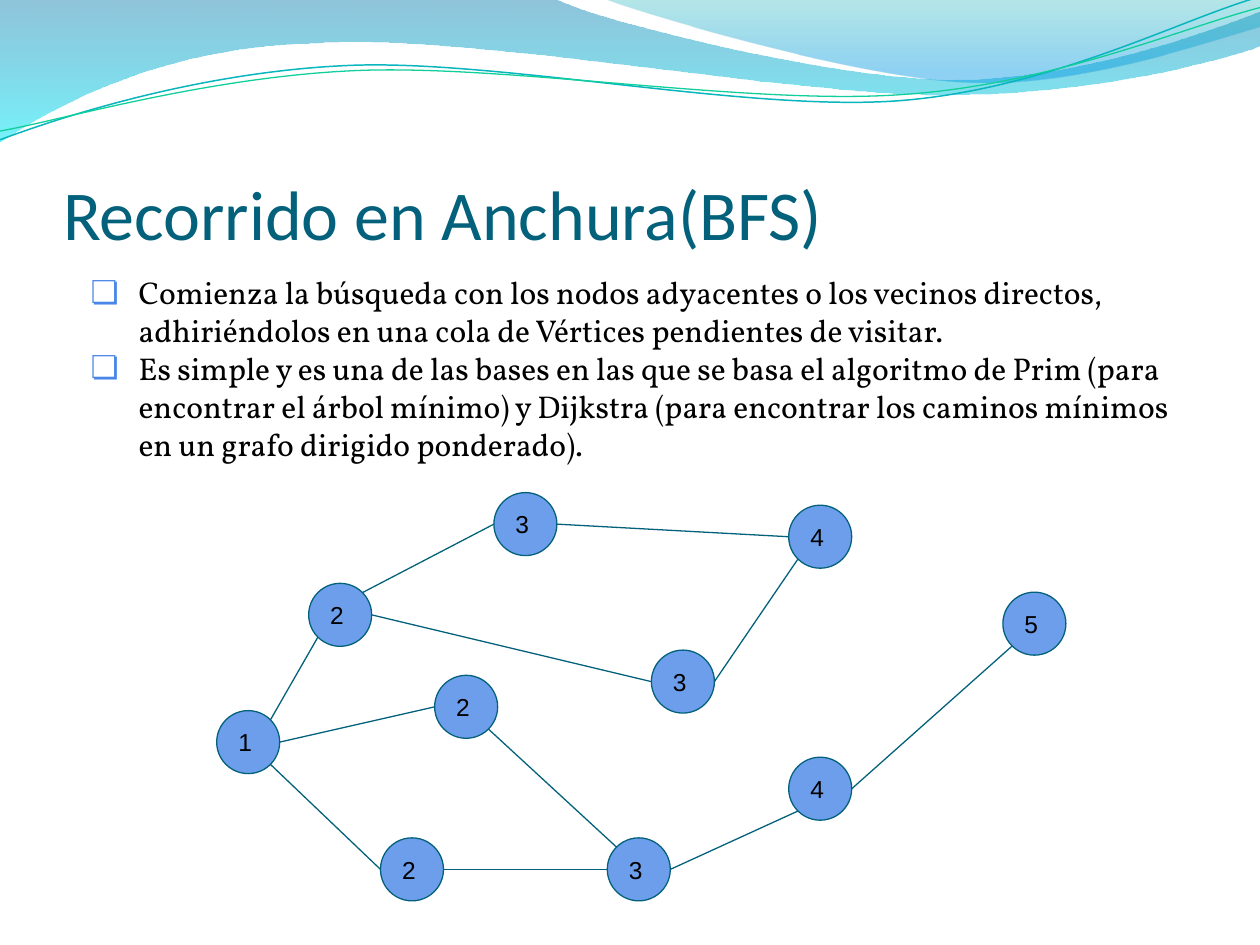
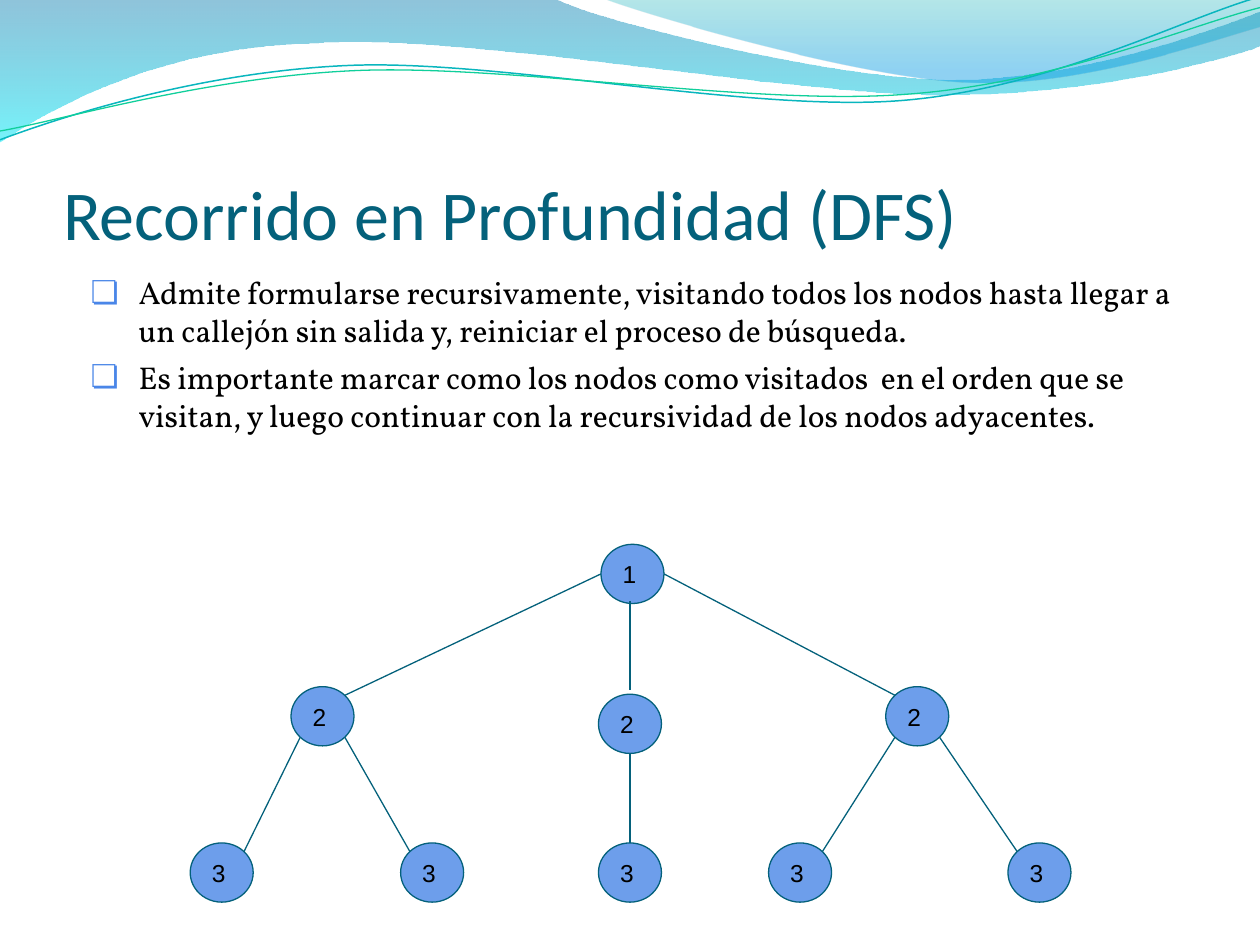
from math import cos, radians, sin
from typing import NamedTuple

from lxml import etree
from pptx import Presentation
from pptx.dml.color import RGBColor
from pptx.enum.shapes import MSO_CONNECTOR, MSO_SHAPE
from pptx.enum.text import MSO_ANCHOR, MSO_AUTO_SIZE, PP_ALIGN
from pptx.oxml.ns import qn
from pptx.util import Inches, Pt

ELLIPSE = MSO_SHAPE.OVAL
STRAIGHT = MSO_CONNECTOR.STRAIGHT
LEFT = PP_ALIGN.LEFT
TOP, MIDDLE, BOTTOM = MSO_ANCHOR.TOP, MSO_ANCHOR.MIDDLE, MSO_ANCHOR.BOTTOM
NO_AUTOFIT = MSO_AUTO_SIZE.NONE

TITLE_FONT, BODY_FONT, NODE_FONT = "Calibri", "Vollkorn", "Arial"
DARK, BLACK, NODE_FILL, BULLET = "04617B", "000000", "6D9EEB", "4A86E8"
NODE_WIDTH = 0.5
DIAGONAL = 0.5 ** 0.5

# Connection sites of an ellipse: index and direction from its centre
SITES = {
    "N": (0, 0, -1), "NW": (1, -DIAGONAL, -DIAGONAL),
    "W": (2, -1, 0), "SW": (3, -DIAGONAL, DIAGONAL),
    "S": (4, 0, 1), "SE": (5, DIAGONAL, DIAGONAL),
    "E": (6, 1, 0), "NE": (7, DIAGONAL, -DIAGONAL),
}


class Stop(NamedTuple):
    position: int
    color: str
    opacity: int


class Wave(NamedTuple):
    """Each step holds one point (straight) or three points (cubic curve)."""
    box: tuple
    start: tuple
    steps: list
    stops: tuple = ()
    line: str = ""
    width: float = 0
    rotation: float = 0


class Node(NamedTuple):
    label: str
    left: float
    top: float


class Edge(NamedTuple):
    begin: str
    begin_site: str
    end: str
    end_site: str


class Topic(NamedTuple):
    title: str
    bullets: list
    body_height: float
    bullet_gap: float
    node_height: float
    nodes: dict
    edges: list
    stems: tuple = ()


WAVES = [
    Wave((-0.01, -0.01, 10.02, 1.14), (0, 0), [
        (4.4, -0.01),
        (4.76, 0.17, 6.64, 0.63, 7.58, 0.63),
        (8.53, 0.63, 9.58, 0.26, 10, 0.09),
        (10.01, 0.36),
        (9.83, 0.44, 8.7, 0.76, 7.46, 0.75),
        (6.22, 0.75, 3.82, 0.28, 2.57, 0.34),
        (1.29, 0.36, 0.46, 0.83, -0.01, 1.13),
        (0, 0),
    ], stops=(Stop(0, "0079AD", 44), Stop(100, "00E9F7", 54))),
    Wave((4.79, -0.01, 5.21, 0.7), (4.79, -0.01), [
        (5.09, 0.11, 6.82, 0.62, 7.69, 0.65),
        (8.56, 0.69, 9.61, 0.32, 10, 0.21),
        (10, 0),
        (4.79, -0.01),
    ], stops=(Stop(0, "00ABB4", 29), Stop(80, "0099E4", 44),
              Stop(100, "0099E4", 44))),
    Wave((-0.02, 0.22, 10.02, 0.71), (0, 1.11), [
        (0.48, 0.93, 1.58, 0.57, 2.77, 0.52),
        (3.95, 0.47, 5.93, 0.89, 7.13, 0.8),
        (8.33, 0.71, 9.38, 0.15, 9.98, -0.02),
    ], line="09B6BE", width=0.85, rotation=357.3),
    Wave((-0.02, 0.3, 10.03, 0.58), (0, 1.04), [
        (0.47, 0.96, 1.64, 0.61, 2.83, 0.56),
        (4.03, 0.51, 5.97, 0.84, 7.17, 0.75),
        (8.36, 0.67, 9.41, 0.21, 10, 0.06),
    ], line="10CF9B", width=0.75, rotation=357.3),
]

TOPICS = [
    Topic(
        "Recorrido en Anchura(BFS)",
        ["Comienza la búsqueda con los nodos adyacentes o los vecinos directos, "
         "adhiriéndolos en una cola de Vértices pendientes de visitar.",
         "Es simple y es una de las bases en las que se basa el algoritmo de Prim "
         "(para encontrar el árbol mínimo) y Dijkstra (para encontrar los caminos "
         "mínimos en un grafo dirigido ponderado)."],
        body_height=1.9, bullet_gap=0, node_height=0.5,
        nodes={
            "start": Node("1", 1.72, 5.64),
            "top 2": Node("2", 2.45, 4.63),
            "middle 2": Node("2", 3.45, 5.36),
            "low 2": Node("2", 3.02, 6.65),
            "top 3": Node("3", 3.92, 3.91),
            "middle 3": Node("3", 5.17, 5.16),
            "low 3": Node("3", 4.82, 6.65),
            "top 4": Node("4", 6.26, 4.01),
            "low 4": Node("4", 6.26, 6.01),
            "end": Node("5", 7.96, 4.7),
        },
        edges=[
            Edge("top 2", "SW", "start", "NE"),
            Edge("start", "E", "middle 2", "W"),
            Edge("low 2", "W", "start", "SE"),
            Edge("top 2", "NE", "top 3", "W"),
            Edge("top 2", "E", "middle 3", "W"),
            Edge("middle 2", "SE", "low 3", "NW"),
            Edge("low 2", "E", "low 3", "W"),
            Edge("top 3", "E", "top 4", "W"),
            Edge("top 4", "SW", "middle 3", "E"),
            Edge("low 4", "SW", "low 3", "E"),
            Edge("low 4", "E", "end", "SW"),
        ]),
    Topic(
        "Recorrido en Profundidad (DFS)",
        ["Admite formularse recursivamente, visitando todos los nodos hasta llegar "
         "a un callejón sin salida y, reiniciar el proceso de búsqueda.",
         "Es importante marcar como los nodos como visitados  en el orden que se "
         "visitan, y luego continuar con la recursividad de los nodos adyacentes."],
        body_height=1.54, bullet_gap=5.2, node_height=0.47,
        nodes={
            "root": Node("1", 4.77, 4.32),
            "left": Node("2", 2.31, 5.45),
            "middle": Node("2", 4.75, 5.51),
            "right": Node("2", 7.03, 5.45),
            "left leaf 1": Node("3", 1.51, 6.69),
            "left leaf 2": Node("3", 3.18, 6.69),
            "middle leaf": Node("3", 4.75, 6.69),
            "right leaf 1": Node("3", 6.1, 6.69),
            "right leaf 2": Node("3", 8, 6.69),
        },
        edges=[
            Edge("left", "NE", "root", "W"),
            Edge("root", "E", "right", "NW"),
            Edge("left", "SW", "left leaf 1", "NE"),
            Edge("left", "SE", "left leaf 2", "NW"),
            Edge("middle", "S", "middle leaf", "N"),
            Edge("right leaf 1", "NE", "right", "SW"),
            Edge("right leaf 2", "NW", "right", "SE"),
        ],
        stems=((5, 4.77, 5, 5.48),)),
]


def rgb(value: str) -> RGBColor:
    return RGBColor.from_string(value)


def set_font(p, name: str, size: float, color: str) -> None:
    p.font.name, p.font.size, p.font.bold = name, Pt(size), False
    p.font.color.rgb = rgb(color)


def set_frame(tf, anchor, margins: tuple) -> None:
    """Margins are left, top, right and bottom in inches."""
    tf.word_wrap, tf.auto_size, tf.vertical_anchor = True, NO_AUTOFIT, anchor
    (tf.margin_left, tf.margin_top,
     tf.margin_right, tf.margin_bottom) = map(Inches, margins)


def place(sp, left: float, top: float, width: float, height: float) -> None:
    sp.left, sp.top = Inches(left), Inches(top)
    sp.width, sp.height = Inches(width), Inches(height)


def set_gradient(sp, stops: tuple) -> None:
    """Vertical gradient with an opacity for each stop."""
    sp.fill.gradient()
    sp.fill.gradient_angle = 270
    stop_list = sp.element.find(".//" + qn("a:gsLst"))
    for old in list(stop_list):
        stop_list.remove(old)
    for stop in stops:
        gs = etree.SubElement(stop_list, qn("a:gs"), pos=str(stop.position * 1000))
        color = etree.SubElement(gs, qn("a:srgbClr"), val=stop.color)
        etree.SubElement(color, qn("a:alpha"), val=str(stop.opacity * 1000))


def set_outline(sp, wave: Wave) -> None:
    """Write the true curves, turned back by the rotation of the shape."""
    left, top, width, height = wave.box
    angle = radians(wave.rotation)
    outline = sp.element.find(".//" + qn("a:path"))
    for old in list(outline):
        outline.remove(old)
    outline.set("w", str(Inches(width)))
    outline.set("h", str(Inches(height)))

    def add_step(tag: str, values: tuple) -> None:
        step = etree.SubElement(outline, qn(tag))
        for x, y in zip(values[::2], values[1::2]):
            dx, dy = x - left - width / 2, y - top - height / 2
            etree.SubElement(
                step, qn("a:pt"),
                x=str(Inches(width / 2 + dx * cos(angle) + dy * sin(angle))),
                y=str(Inches(height / 2 - dx * sin(angle) + dy * cos(angle))))

    add_step("a:moveTo", wave.start)
    for values in wave.steps:
        add_step("a:lnTo" if len(values) == 2 else "a:cubicBezTo", values)
    if wave.stops:
        etree.SubElement(outline, qn("a:close"))


def add_wave(slide, wave: Wave) -> None:
    """Draw the wave and move it to the layout, which all slides share."""
    builder = slide.shapes.build_freeform()
    builder.add_line_segments([(Inches(1), Inches(1))], close=False)
    sp = builder.convert_to_shape()
    place(sp, *wave.box)
    set_outline(sp, wave)
    sp.rotation = wave.rotation
    sp.shadow.inherit = False
    if wave.stops:
        set_gradient(sp, wave.stops)
        sp.line.fill.background()
    else:
        sp.fill.background()
        sp.line.color.rgb, sp.line.width = rgb(wave.line), Pt(wave.width)
    slide.slide_layout.shapes.element.append(sp.element)


def add_title(slide, text: str) -> None:
    sp = slide.shapes.title
    place(sp, 0.5, 0.77, 9, 1.25)
    set_frame(sp.text_frame, BOTTOM, (0, 0.05, 0, 0))
    p = sp.text_frame.paragraphs[0]
    p.text, p.alignment = text, LEFT
    set_font(p, TITLE_FONT, 40, DARK)


def add_bullets(slide, topic: Topic) -> None:
    sp = slide.placeholders[1]
    place(sp, 0.5, 2.12, 9, topic.body_height)
    tf = sp.text_frame
    set_frame(tf, TOP, (0.1, 0.05, 0.1, 0.05))
    tf.text = "\n".join(topic.bullets)
    for i, p in enumerate(tf.paragraphs):
        props = p._p.get_or_add_pPr()
        props.set("marL", str(Inches(0.5)))
        props.set("indent", str(Inches(-0.38)))
        color = etree.SubElement(props, qn("a:buClr"))
        etree.SubElement(color, qn("a:srgbClr"), val=BULLET)
        etree.SubElement(props, qn("a:buChar"), char="❏")
        p.space_before = Pt(topic.bullet_gap if i else 5.2)
        p.alignment = LEFT
        set_font(p, BODY_FONT, 18, BLACK)


def add_node(slide, node: Node, height: float):
    sp = slide.shapes.add_shape(ELLIPSE, Inches(node.left), Inches(node.top),
                                Inches(NODE_WIDTH), Inches(height))
    sp.shadow.inherit = False
    sp.fill.solid()
    sp.fill.fore_color.rgb = rgb(NODE_FILL)
    sp.line.color.rgb, sp.line.width = rgb(DARK), Pt(0.75)
    set_frame(sp.text_frame, MIDDLE, (0.1,) * 4)
    p = sp.text_frame.paragraphs[0]
    p.text, p.alignment = node.label, LEFT
    set_font(p, NODE_FONT, 14, BLACK)
    return sp


def site_point(sp, site: str) -> tuple:
    _, dx, dy = SITES[site]
    return (int(sp.left + sp.width * (1 + dx) / 2),
            int(sp.top + sp.height * (1 + dy) / 2))


def add_line(slide, *ends: int):
    cxn = slide.shapes.add_connector(STRAIGHT, *ends)
    cxn.line.color.rgb, cxn.line.width = rgb(DARK), Pt(0.75)
    etree.SubElement(cxn.element.spPr, qn("a:effectLst"))
    return cxn


def add_edge(slide, edge: Edge, circles: dict) -> None:
    """Join two circles; ellipses have eight sites, so the joins are set in XML."""
    ends = ((circles[edge.begin], edge.begin_site), (circles[edge.end], edge.end_site))
    cxn = add_line(slide, *site_point(*ends[0]), *site_point(*ends[1]))
    joins = cxn.element.find(".//" + qn("p:cNvCxnSpPr"))
    for tag, (sp, site) in zip(("a:stCxn", "a:endCxn"), ends):
        etree.SubElement(joins, qn(tag), id=str(sp.shape_id), idx=str(SITES[site][0]))


def main() -> None:
    prs = Presentation()
    prs.slide_width, prs.slide_height = Inches(10), Inches(7.5)
    slides = [prs.slides.add_slide(prs.slide_layouts[1]) for _ in TOPICS]
    for wave in WAVES:
        add_wave(slides[0], wave)
    for slide, topic in zip(slides, TOPICS):
        add_title(slide, topic.title)
        add_bullets(slide, topic)
        circles = {name: add_node(slide, node, topic.node_height)
                   for name, node in topic.nodes.items()}
        for edge in topic.edges:
            add_edge(slide, edge, circles)
        for stem in topic.stems:
            add_line(slide, *map(Inches, stem))
    prs.save("out.pptx")


if __name__ == "__main__":
    main()
